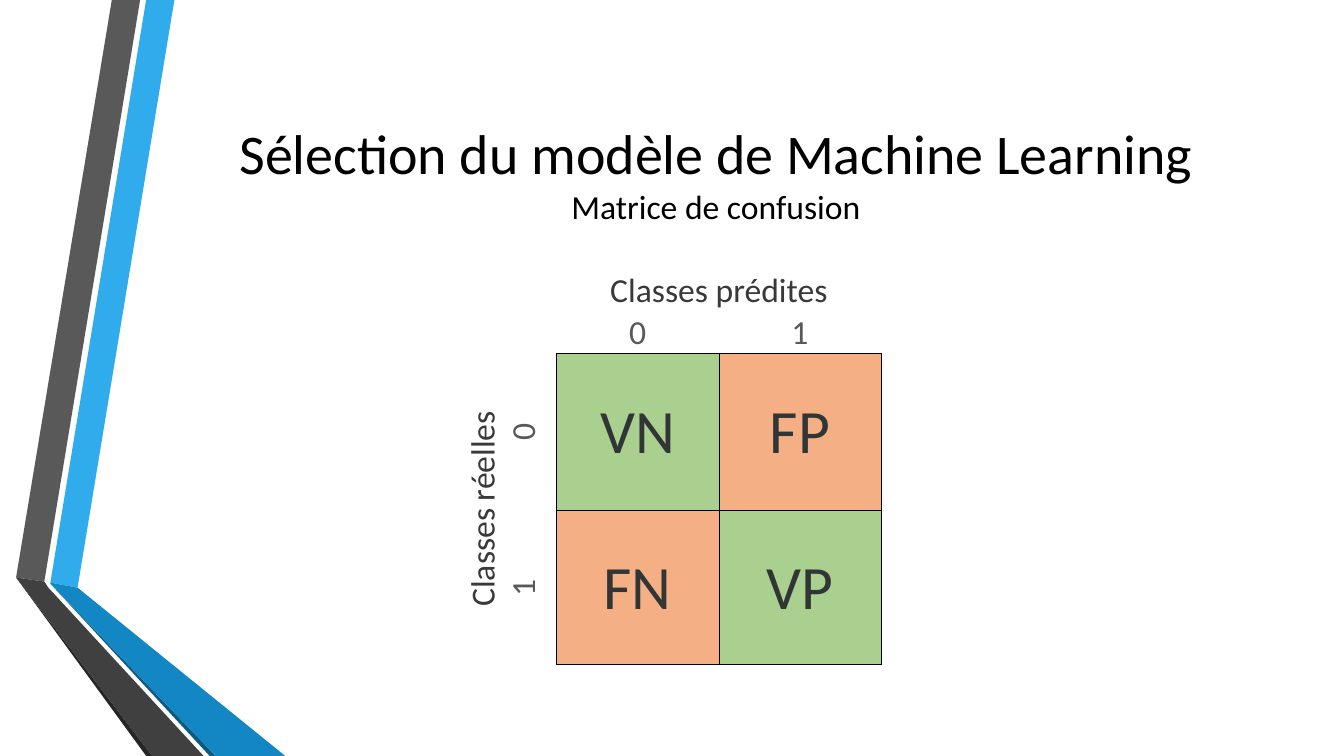
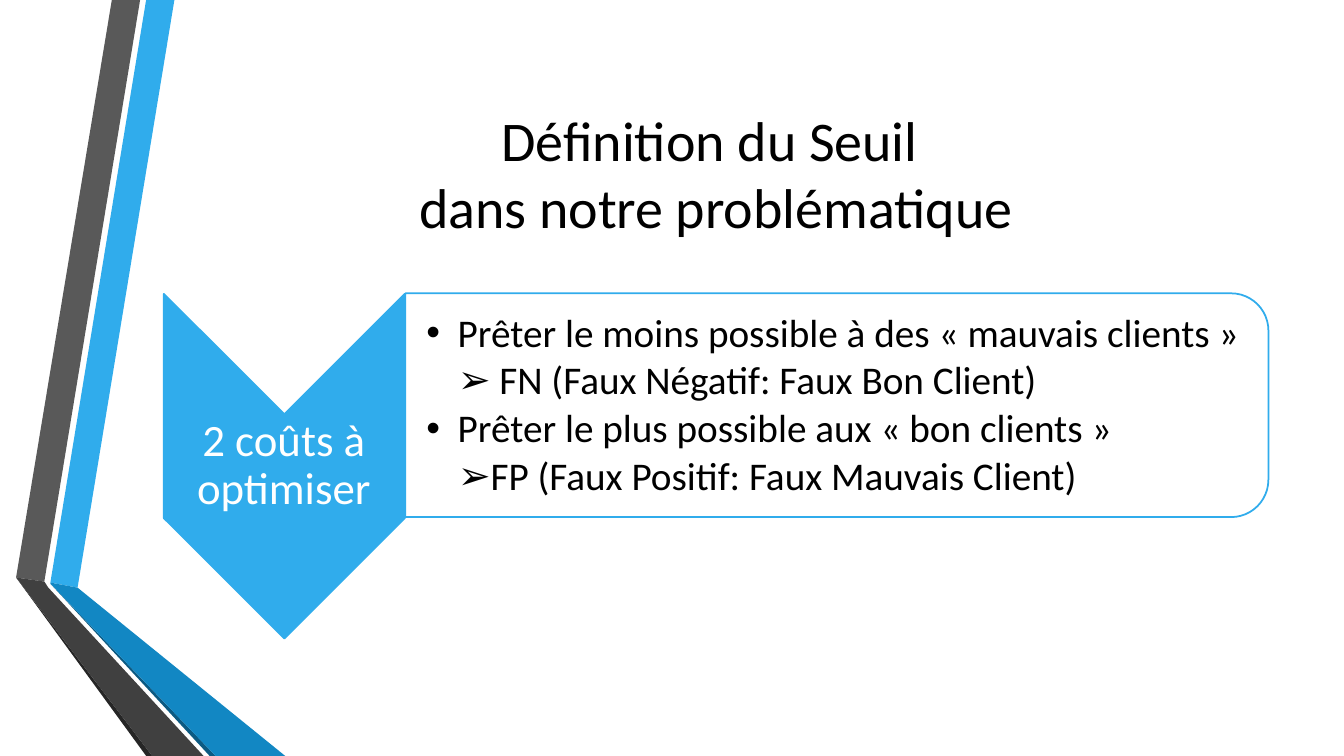
from lxml import etree
from pptx import Presentation
from pptx.dml.color import RGBColor
from pptx.enum.shapes import MSO_SHAPE
from pptx.enum.text import MSO_ANCHOR, MSO_AUTO_SIZE, PP_ALIGN
from pptx.oxml.ns import qn
from pptx.util import Inches, Pt

CHEVRON = MSO_SHAPE.CHEVRON
ROUND = MSO_SHAPE.ROUND_2_SAME_RECTANGLE
MIDDLE = MSO_ANCHOR.MIDDLE
CENTER = PP_ALIGN.CENTER
NO_FIT = MSO_AUTO_SIZE.NONE

FACE = "Calibri"
BLACK = RGBColor(0x00, 0x00, 0x00)
WHITE = RGBColor(0xFF, 0xFF, 0xFF)
SKY = RGBColor(0x30, 0xAC, 0xEC)
BLUE = RGBColor(0x12, 0x87, 0xC3)
NAVY = RGBColor(0x0C, 0x5A, 0x82)
GRAY = RGBColor(0x59, 0x59, 0x59)
DARK = RGBColor(0x40, 0x40, 0x40)
COAL = RGBColor(0x26, 0x26, 0x26)
HEAD = RGBColor(0x3A, 0x38, 0x38)
INK = RGBColor(0x32, 0x35, 0x36)
GREEN = RGBColor(0xA9, 0xD0, 0x8E)
PEACH = RGBColor(0xF4, 0xB0, 0x84)

RIBBONS = [
    (SKY, [(0.5, 5.78), (0.77, 5.83), (1.73, 0), (1.45, 0)]),
    (GRAY, [(1.39, 0), (1.11, 0), (0.16, 5.73), (0.44, 5.77)]),
    (COAL, [(0.16, 5.73), (1.45, 7.5), (1.51, 7.5)]),
    (NAVY, [(0.5, 5.79), (2.08, 7.5), (2.14, 7.5)]),
    (BLUE, [(0.5, 5.79), (2.14, 7.5), (2.83, 7.5), (0.77, 5.83), (0.5, 5.78)]),
    (DARK, [(2.02, 7.5), (0.48, 5.83), (0.44, 5.77), (0.16, 5.73), (1.51, 7.5)]),
]


def style(par, size, color):
    par.font.name = FACE
    par.font.size = Pt(size)
    par.font.color.rgb = color


def place(shape, left, top, width, height):
    shape.left, shape.top = Inches(left), Inches(top)
    shape.width, shape.height = Inches(width), Inches(height)


prs = Presentation()
prs.slide_width, prs.slide_height = Inches(13.33), Inches(7.5)
matrix = prs.slides.add_slide(prs.slide_layouts[5])
costs = prs.slides.add_slide(prs.slide_layouts[1])

# Ribbons, drawn once and moved to the master, behind its placeholders
tree = prs.slide_master.shapes.element
for i, (color, points) in enumerate(RIBBONS):
    spots = [(Inches(x), Inches(y)) for x, y in points]
    pen = matrix.shapes.build_freeform(*spots[0])
    pen.add_line_segments(spots[1:], close=True)
    ribbon = pen.convert_to_shape()
    ribbon.shadow.inherit = False
    ribbon.fill.solid()
    ribbon.fill.fore_color.rgb = color
    ribbon.line.fill.background()
    tree.insert(2 + i, ribbon.element)

# Titles
for slide, text in [
    (matrix, "Sélection du modèle de Machine Learning\vMatrice de confusion"),
    (costs, "Définition du Seuil \vdans notre problématique"),
]:
    title = slide.shapes.title
    place(title, 1.62, 0.75, 10.96, 1.92)
    frame = title.text_frame
    frame.auto_size = NO_FIT
    frame.vertical_anchor = MIDDLE
    par = frame.paragraphs[0]
    par.text = text
    par.alignment = CENTER
    style(par, 40, BLACK)
matrix.shapes.title.text_frame.paragraphs[0].runs[1].font.size = Pt(24)

# Confusion matrix
cols = [0.4, 0.54, 1.61, 1.61]
rows = [0.39, 0.39, 1.56, 1.53]
table = matrix.shapes.add_table(
    4, 4, Inches(4.58), Inches(2.67), Inches(sum(cols)), Inches(sum(rows))
).table
table.first_row = table.horz_banding = False
for col, width in zip(table.columns, cols):
    col.width = Inches(width)
for row, height in zip(table.rows, rows):
    row.height = Inches(height)
table.cell(0, 2).merge(table.cell(0, 3))
table.cell(2, 0).merge(table.cell(3, 0))

words = [
    ["", "", "Classes prédites", ""],
    ["", "", "0", "1"],
    ["Classes réelles", "0", "VN", "FP"],
    ["", "1", "FN", "VP"],
]
for r, line in enumerate(words):
    for c, word in enumerate(line):
        cell = table.cell(r, c)
        cell.margin_left = cell.margin_right = cell.margin_top = Inches(0.01)
        cell.margin_bottom = 0
        cell.vertical_anchor = MIDDLE
        par = cell.text_frame.paragraphs[0]
        par.text = word
        par.alignment = CENTER
        inner = r > 1 and c > 1
        if inner:
            style(par, 44, INK)
        else:
            style(par, 24, HEAD if 0 in (r, c) else GRAY)

        # Borders come before the fill in the cell properties
        props = cell._tc.get_or_add_tcPr()
        if r > 1 and c < 2:
            props.set("vert", "vert270")
        sides = "LRTB" if inner else "B" if (r == 1 and c > 1) else "R" if (c == 1 and r > 1) else ""
        for side in sides:
            edge = etree.SubElement(props, qn("a:ln" + side), w=str(Pt(0.5)))
            paint = etree.SubElement(edge, qn("a:solidFill"))
            etree.SubElement(paint, qn("a:srgbClr"), val=str(BLACK))
        if inner:
            cell.fill.solid()
            cell.fill.fore_color.rgb = GREEN if r == c else PEACH
        else:
            cell.fill.background()

# Chevron and rounded box, both turned a quarter
body = costs.placeholders[1]
for kind, spot, color in [
    (CHEVRON, (1.11, 3.43, 3.42, 2.39), SKY),
    (ROUND, (7.19, -0.26, 2.22, 8.56), WHITE),
]:
    shape = costs.shapes.add_shape(kind, *map(Inches, spot))
    shape.rotation = 90
    shape.shadow.inherit = False
    shape.fill.solid()
    shape.fill.fore_color.rgb = color
    shape.line.color.rgb = SKY
    shape.line.width = Pt(1.25)
    body.element.addprevious(shape.element)

# Chevron label
label = costs.shapes.add_textbox(Inches(1.62), Inches(4.11), Inches(2.39), Inches(1.02))
par = label.text_frame.paragraphs[0]
par.text = "2 coûts à optimiser"
par.alignment = CENTER
par.line_spacing = 0.9
style(par, 32, WHITE)

# List of costs
place(body, 4.01, 3.03, 8.46, 2)
for frame, left in [(label.text_frame, 0.02), (body.text_frame, 0.22)]:
    frame.word_wrap = True
    frame.auto_size = NO_FIT
    frame.vertical_anchor = MIDDLE
    frame.margin_left = Inches(left)
    frame.margin_right = frame.margin_top = frame.margin_bottom = Inches(0.02)

items = [
    (0, "Prêter le moins possible à des « mauvais clients »"),
    (1, " FN (Faux Négatif: Faux Bon Client)"),
    (0, "Prêter le plus possible aux « bon clients »"),
    (1, "FP (Faux Positif: Faux Mauvais Client)"),
]
frame = body.text_frame
frame.text = "\n".join(text for _, text in items)
for par, (level, _) in zip(frame.paragraphs, items):
    par.level = level
    par.line_spacing = 0.9
    par.space_before = Pt(0)
    par.space_after = Pt(4)
    props = par._p.get_or_add_pPr()
    props.set("marL", str(Inches(0.31 * (level + 1))))
    props.set("indent", str(Inches(-0.31)))
    etree.SubElement(props, qn("a:buChar"), char="•➢"[level])
    style(par, 28, BLACK)

prs.save("out.pptx")
